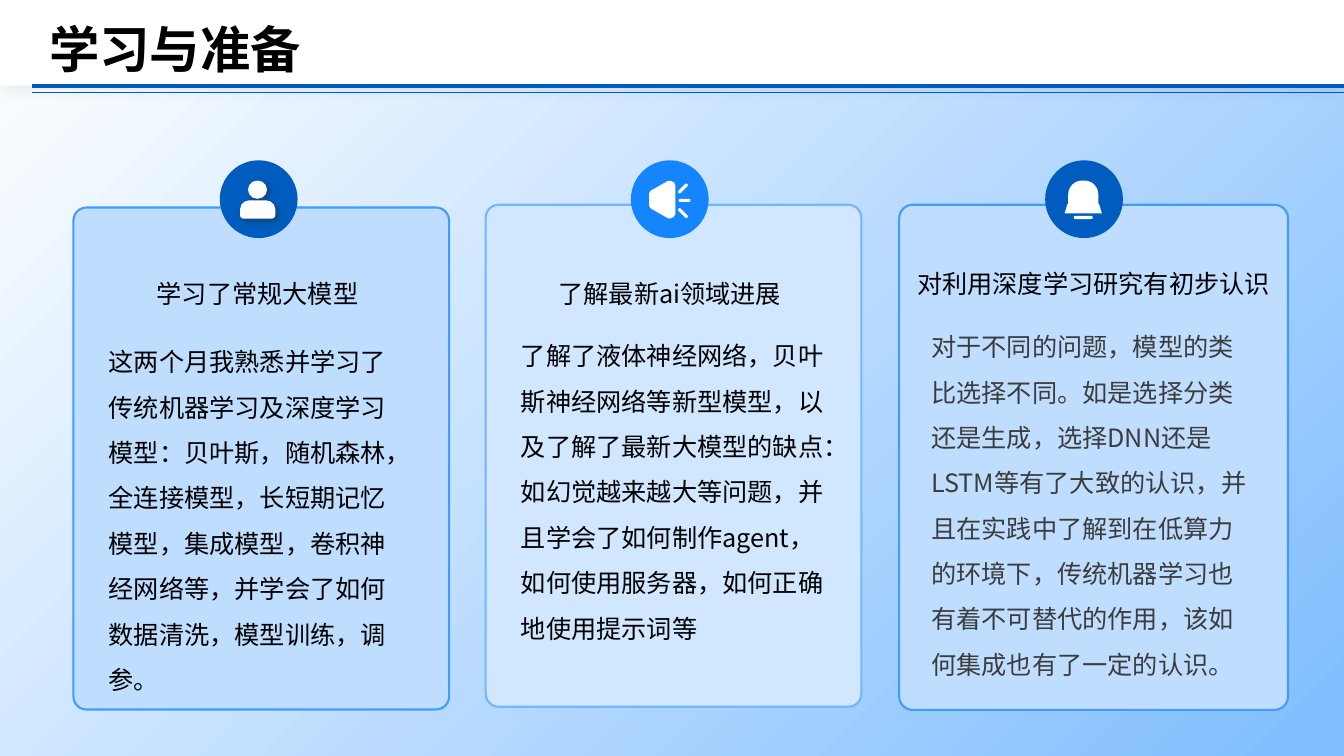
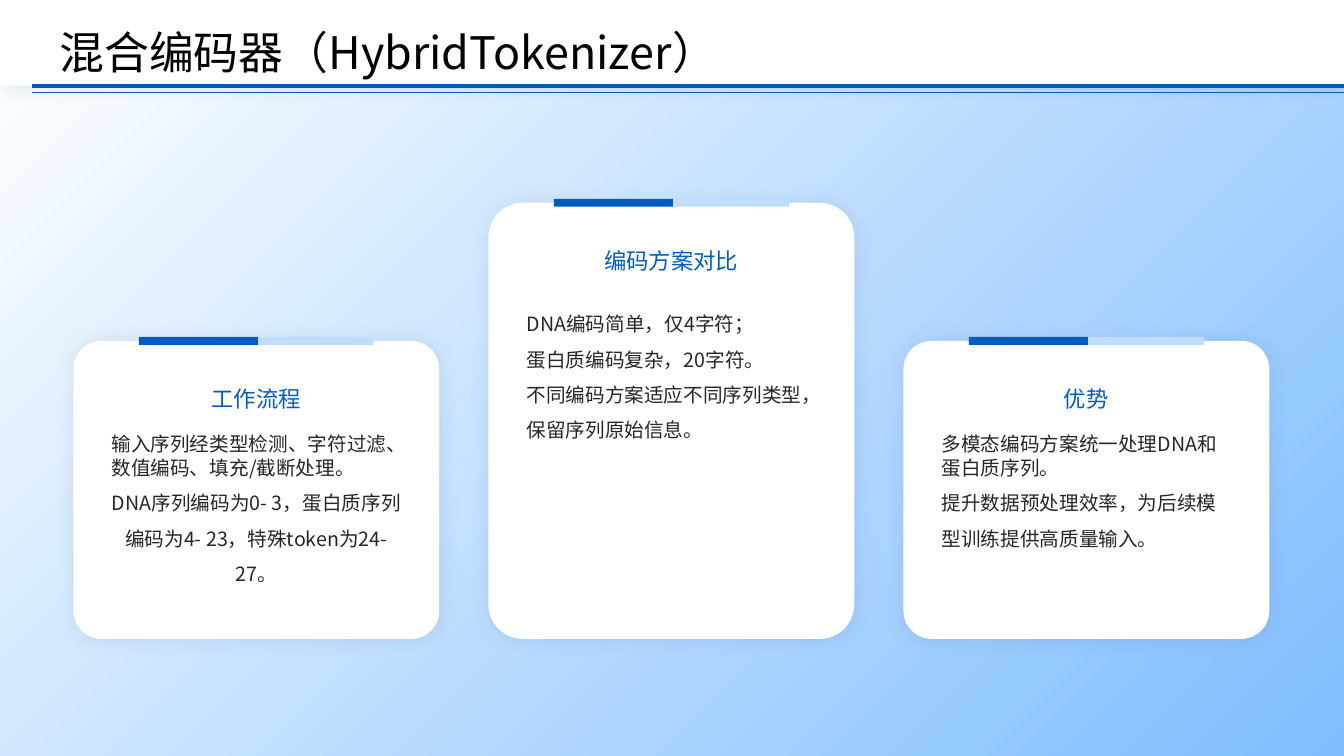
from dataclasses import dataclass

import lxml.etree
import pptx
import pptx.dml.color
import pptx.enum.shapes
import pptx.enum.text
import pptx.oxml.ns
import pptx.util

Cm = pptx.util.Cm
Pt = pptx.util.Pt
Preset = pptx.enum.shapes.MSO_SHAPE
Align = pptx.enum.text.PP_ALIGN
qualified = pptx.oxml.ns.qn

FONT = "Noto Sans CJK SC"
COLORS = {
    "black": "000000",
    "white": "FFFFFF",
    "sky": "7FBDFF",
    "blue": "005CBF",
    "bright": "1585FF",
    "edge": "409CFF",
    "soft_edge": "73B6FF",
    "panel": "BFDEFF",
    "soft_panel": "D0E7FF",
    "gray": "3C3C3C",
    "ink": "262626",
}
SLIDE_WIDTH, SLIDE_HEIGHT = 33.87, 19.05
CIRCLE_TOP, CIRCLE_SIZE = 4.04, 1.96
TAB_WIDTH, TAB_HEIGHT = 3.0, 0.2


@dataclass(frozen=True)
class Box:
    left: float
    top: float
    width: float
    height: float


@dataclass(frozen=True)
class Shadow:
    color: str
    opacity: int
    blur: float
    distance: float = 0
    direction: int = 0


@dataclass(frozen=True)
class TextLine:
    text: str
    size: int
    color: str = "black"
    spacing: float = 1.5
    align: Align = Align.LEFT
    bold: bool = False


@dataclass(frozen=True)
class IconPiece:
    preset: Preset
    box: Box
    adjustments: tuple[float, ...] = ()
    rotation: int = 0


@dataclass(frozen=True)
class Icon:
    pieces: tuple[IconPiece, ...]
    outline: tuple[tuple[float, float], ...] = ()
    shadow: Shadow | None = None


@dataclass(frozen=True)
class IconCard:
    box: Box
    fill: str
    edge: str
    circle_left: float
    circle_color: str
    icon: Icon
    heading_box: Box
    heading: str
    body_box: Box
    body: str
    body_color: str = "black"


@dataclass(frozen=True)
class TabCard:
    heading: str
    top: float
    body_offset: float
    body: tuple[TextLine, ...]


PERSON = Icon(
    (
        IconPiece(Preset.OVAL, Box(0.71, 0.51, 0.48, 0.46)),
        IconPiece(Preset.ROUND_2_SAME_RECTANGLE, Box(0.51, 1.01, 0.89, 0.46), (0.5, 0.2)),
    ),
    shadow=Shadow("ink", 40, 4, 3, 45),
)
SPEAKER = Icon(
    (
        IconPiece(Preset.ROUNDED_RECTANGLE, Box(1.15, 0.67, 0.32, 0.08), (0.5,), 315),
        IconPiece(Preset.ROUNDED_RECTANGLE, Box(1.20, 0.97, 0.30, 0.08), (0.5,)),
        IconPiece(Preset.ROUNDED_RECTANGLE, Box(1.15, 1.29, 0.32, 0.08), (0.5,), 45),
    ),
    outline=((0.53, 0.83), (0.97, 0.58), (1.05, 0.62), (1.05, 1.36), (0.97, 1.4), (0.53, 1.15)),
)
BELL = Icon(
    (
        IconPiece(Preset.ROUND_2_SAME_RECTANGLE, Box(0.58, 0.51, 0.76, 0.7), (0.5, 0)),
        IconPiece(Preset.TRAPEZOID, Box(0.49, 1.1, 0.94, 0.24), (0.3,)),
        IconPiece(Preset.ROUNDED_RECTANGLE, Box(0.72, 1.4, 0.48, 0.08), (0.5,)),
    )
)

ICON_CARDS = (
    IconCard(
        Box(1.85, 5.23, 9.47, 12.65), "panel", "edge", 5.54, "blue", PERSON,
        Box(2.49, 6.81, 8, 1.02), "学习了常规大模型",
        Box(2.49, 8.23, 8, 7.42),
        "这两个月我熟悉并学习了传统机器学习及深度学习模型：贝叶斯，随机森林，全连接模型，"
        "长短期记忆模型，集成模型，卷积神经网络等，并学会了如何数据清洗，模型训练，调参。",
    ),
    IconCard(
        Box(12.24, 5.16, 9.47, 12.65), "soft_panel", "soft_edge", 15.9, "bright", SPEAKER,
        Box(12.88, 6.81, 8, 1.02), "了解最新ai领域进展",
        Box(12.88, 8.08, 8.41, 9.32),
        "了解了液体神经网络，贝叶斯神经网络等新型模型，以及了解了最新大模型的缺点："
        "如幻觉越来越大等问题，并且学会了如何制作agent，如何使用服务器，如何正确地使用提示词等",
    ),
    IconCard(
        Box(22.66, 5.16, 9.8, 12.73), "panel", "edge", 26.34, "blue", BELL,
        Box(22.66, 6.55, 9.8, 1.02), "对利用深度学习研究有初步认识",
        Box(23.22, 7.85, 8.71, 9.53),
        "对于不同的问题，模型的类比选择不同。如是选择分类还是生成，选择DNN还是LSTM等有了大致的认识，"
        "并且在实践中了解到在低算力的环境下，传统机器学习也有着不可替代的作用，该如何集成也有了一定的认识。",
        "gray",
    ),
)
TAB_CARDS = (
    TabCard("工作流程", 8.59, 2.18, (
        TextLine("输入序列经类型检测、字符过滤、数值编码、填充/截断处理。", 14, "ink", 1.0),
        TextLine("DNA序列编码为0- 3，蛋白质序列编码为4- 23，特殊token为24- 27。", 14, "ink", align=Align.CENTER),
    )),
    TabCard("编码方案对比", 5.11, 2.34, (
        TextLine("DNA编码简单，仅4字符；", 14, "ink"),
        TextLine("蛋白质编码复杂，20字符。", 14, "ink"),
        TextLine("不同编码方案适应不同序列类型，保留序列原始信息。", 14, "ink"),
    )),
    TabCard("优势", 8.59, 2.18, (
        TextLine("多模态编码方案统一处理DNA和蛋白质序列。", 14, "ink", 1.0),
        TextLine("提升数据预处理效率，为后续模型训练提供高质量输入。", 14, "ink"),
    )),
)


def rgb(name: str) -> pptx.dml.color.RGBColor:
    return pptx.dml.color.RGBColor.from_string(COLORS[name])


def paint(shape, fill: str, edge: str | None = None, edge_width: float = 1.5, shadow: Shadow | None = None) -> None:
    shape.fill.solid()
    shape.fill.fore_color.rgb = rgb(fill)
    if edge:
        shape.line.color.rgb = rgb(edge)
        shape.line.width = Pt(edge_width)
    else:
        shape.line.fill.background()
    shape.shadow.inherit = False
    if shadow:
        effects = shape.element.spPr.find(qualified("a:effectLst"))
        outer = lxml.etree.SubElement(
            effects, qualified("a:outerShdw"), blurRad=str(Pt(shadow.blur)), dist=str(Pt(shadow.distance)),
            dir=str(shadow.direction * 60000), algn="ctr", rotWithShape="0",
        )
        color = lxml.etree.SubElement(outer, qualified("a:srgbClr"), val=COLORS[shadow.color])
        lxml.etree.SubElement(color, qualified("a:alpha"), val=str(shadow.opacity * 1000))


def add_preset(slide, preset: Preset, box: Box, adjustments: tuple[float, ...] = ()):
    shape = slide.shapes.add_shape(preset, Cm(box.left), Cm(box.top), Cm(box.width), Cm(box.height))
    for index, value in enumerate(adjustments):
        shape.adjustments[index] = value
    return shape


def write_lines(text_frame, lines: tuple[TextLine, ...]) -> None:
    text_frame.word_wrap = True
    for index, line in enumerate(lines):
        paragraph = text_frame.add_paragraph() if index else text_frame.paragraphs[0]
        paragraph.text = line.text
        paragraph.alignment = line.align
        paragraph.line_spacing = line.spacing
        paragraph.font.size = Pt(line.size)
        paragraph.font.bold = line.bold
        paragraph.font.color.rgb = rgb(line.color)
        paragraph.font.name = FONT
        defaults = paragraph._p.pPr.find(qualified("a:defRPr"))
        lxml.etree.SubElement(defaults, qualified("a:ea"), typeface=FONT)


def add_text(slide, box: Box, *lines: TextLine) -> None:
    text_box = slide.shapes.add_textbox(Cm(box.left), Cm(box.top), Cm(box.width), Cm(box.height))
    write_lines(text_box.text_frame, lines)


def set_title(slide, left: float, line: TextLine) -> None:
    title = slide.shapes.title
    title.left, title.top, title.width, title.height = Cm(left), Cm(0.33), Cm(30.9), Cm(1.8)
    frame = title.text_frame
    frame.margin_left = frame.margin_right = frame.margin_top = frame.margin_bottom = 0
    frame.vertical_anchor = pptx.enum.text.MSO_ANCHOR.MIDDLE
    frame.auto_size = pptx.enum.text.MSO_AUTO_SIZE.NONE
    write_lines(frame, (line,))


def decorate_layout(layout, slide) -> None:
    fill = layout.background.fill
    fill.gradient()
    fill.gradient_angle = 315
    for stop, name in zip(fill.gradient_stops, ("white", "sky")):
        stop.color.rgb = rgb(name)
    band = add_preset(slide, Preset.RECTANGLE, Box(0, 0, SLIDE_WIDTH, 2.16))
    paint(band, "white", shadow=Shadow("black", 10, 13))
    layout.shapes.element.append(band.element)
    for top, width in ((2.16, 3), (2.34, 0.75)):
        rule = slide.shapes.add_connector(
            pptx.enum.shapes.MSO_CONNECTOR.STRAIGHT, Cm(0.81), Cm(top), Cm(SLIDE_WIDTH), Cm(top)
        )
        rule.line.color.rgb = rgb("blue")
        rule.line.width = Pt(width)
        lxml.etree.SubElement(rule.element.spPr, qualified("a:effectLst"))
        layout.shapes.element.append(rule.element)


def draw_icon(slide, icon: Icon, left: float, top: float) -> None:
    for piece in icon.pieces:
        box = Box(left + piece.box.left, top + piece.box.top, piece.box.width, piece.box.height)
        shape = add_preset(slide, piece.preset, box, piece.adjustments)
        shape.rotation = piece.rotation
        paint(shape, "white", shadow=icon.shadow)
    if icon.outline:
        points = [(Cm(left + x), Cm(top + y)) for x, y in icon.outline]
        builder = slide.shapes.build_freeform(*points[0], scale=1.0)
        builder.add_line_segments(points[1:], close=True)
        paint(builder.convert_to_shape(), "white", "white", 4)


def draw_icon_card(slide, card: IconCard) -> None:
    paint(add_preset(slide, Preset.ROUNDED_RECTANGLE, card.box, (0.035,)), card.fill, card.edge)
    circle_box = Box(card.circle_left, CIRCLE_TOP, CIRCLE_SIZE, CIRCLE_SIZE)
    paint(add_preset(slide, Preset.OVAL, circle_box), card.circle_color)
    draw_icon(slide, card.icon, card.circle_left, CIRCLE_TOP)
    add_text(slide, card.heading_box, TextLine(card.heading, 18, spacing=1.1, align=Align.CENTER))
    add_text(slide, card.body_box, TextLine(card.body, 18, card.body_color))


def draw_tab_card(slide, card: TabCard, left: float) -> None:
    bottom, text_bottom = 16.1, 15.37
    panel = add_preset(slide, Preset.ROUNDED_RECTANGLE, Box(left, card.top, 9.22, bottom - card.top), (0.094,))
    paint(panel, "white", shadow=Shadow("black", 8, 15))
    for offset, color in ((4.57, "panel"), (1.65, "blue")):
        tab_box = Box(left + offset, card.top - TAB_HEIGHT / 2, TAB_WIDTH, TAB_HEIGHT)
        paint(add_preset(slide, Preset.RECTANGLE, tab_box), color)
    heading = TextLine(card.heading, 16, "blue", align=Align.CENTER)
    add_text(slide, Box(left + 0.81, card.top + 0.65, 7.59, 1.32), heading)
    body_top = card.top + card.body_offset
    add_text(slide, Box(left + 0.71, body_top, 7.8, text_bottom - body_top), *card.body)


def main() -> None:
    presentation = pptx.Presentation()
    presentation.slide_width = Cm(SLIDE_WIDTH)
    presentation.slide_height = Cm(SLIDE_HEIGHT)
    layout = presentation.slide_layouts[5]

    study = presentation.slides.add_slide(layout)
    decorate_layout(layout, study)
    set_title(study, 1.24, TextLine("学习与准备", 36, spacing=1.0, bold=True))
    for card in ICON_CARDS:
        draw_icon_card(study, card)

    tokenizer = presentation.slides.add_slide(layout)
    set_title(tokenizer, 1.5, TextLine("混合编码器（HybridTokenizer）", 32, spacing=1.1))
    for index, card in enumerate(TAB_CARDS):
        draw_tab_card(tokenizer, card, 1.85 + 10.46 * index)

    presentation.save("out.pptx")


if __name__ == "__main__":
    main()
